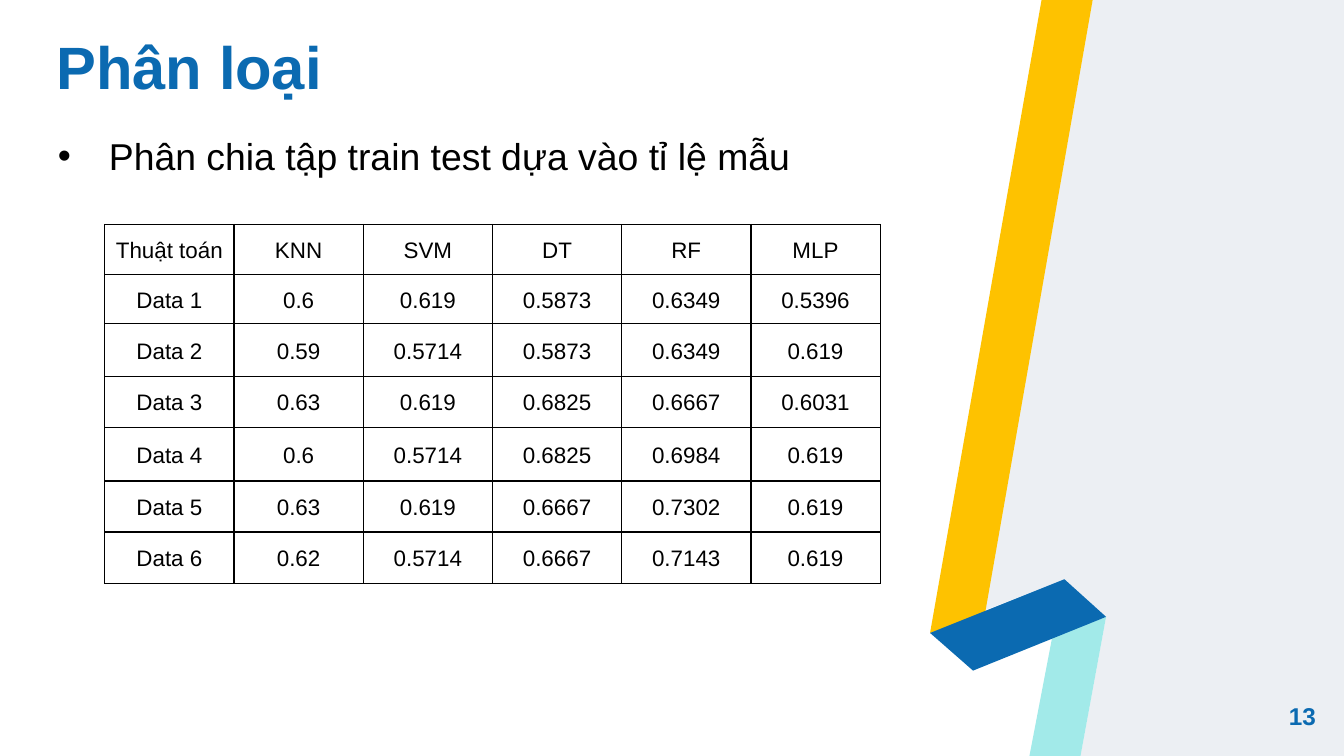
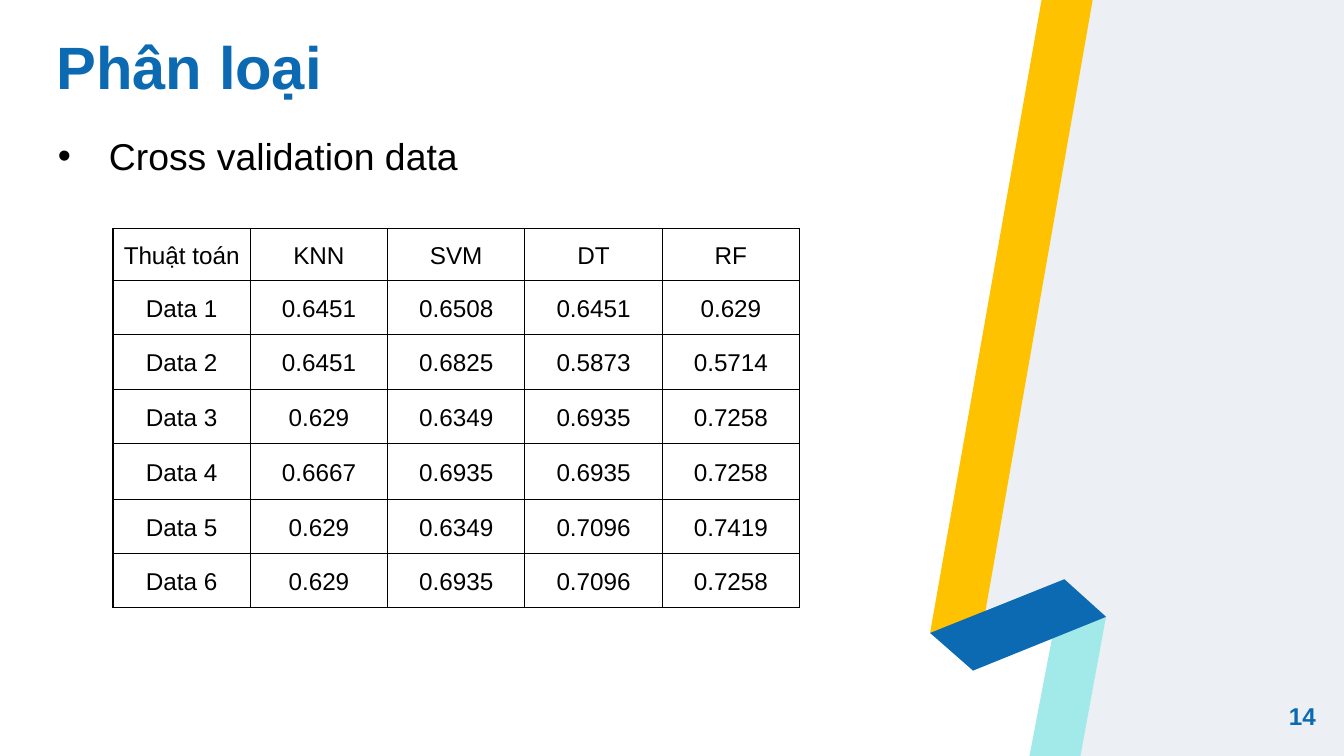
from dataclasses import dataclass

from lxml import etree
from pptx import Presentation
from pptx.dml.color import RGBColor
from pptx.enum import text
from pptx.oxml.ns import qn
from pptx.util import Inches, Pt


@dataclass(frozen=True)
class Theme:
    font: str = "Arial"
    blue: str = "0B6AB1"
    yellow: str = "FEC200"
    aqua: str = "A2EAE9"
    grey: str = "ECEFF3"
    black: str = "000000"
    title_size: int = 32
    body_size: int = 20
    number_size: int = 13
    border_width: float = 0.75


THEME = Theme()
WIDTH = 10
HEIGHT = WIDTH * 9 / 16

# Corners that neighbouring parts of the ribbon share
FOLD_LEFT, FOLD_TOP, FOLD_RIGHT = (6.92, 4.71), (7.92, 4.31), (8.23, 4.59)
BAND_TOP, TAIL_END = (8.13, 0), (8.04, HEIGHT)
RIBBON = [
    (THEME.grey, [BAND_TOP, (7.33, 4.54), FOLD_TOP, FOLD_RIGHT, TAIL_END,
                  (WIDTH, HEIGHT), (WIDTH, 0)]),
    (THEME.yellow, [(7.75, 0), BAND_TOP, (7.33, 4.56), FOLD_LEFT]),
    (THEME.aqua, [(7.66, HEIGHT), (7.83, 4.74), FOLD_RIGHT, TAIL_END]),
    (THEME.blue, [FOLD_LEFT, FOLD_TOP, FOLD_RIGHT, (7.24, 4.99)]),
]

SPLIT_SCORES = [
    ["Thuật toán", "KNN", "SVM", "DT", "RF", "MLP"],
    ["Data 1", "0.6", "0.619", "0.5873", "0.6349", "0.5396"],
    ["Data 2", "0.59", "0.5714", "0.5873", "0.6349", "0.619"],
    ["Data 3", "0.63", "0.619", "0.6825", "0.6667", "0.6031"],
    ["Data 4", "0.6", "0.5714", "0.6825", "0.6984", "0.619"],
    ["Data 5", "0.63", "0.619", "0.6667", "0.7302", "0.619"],
    ["Data 6", "0.62", "0.5714", "0.6667", "0.7143", "0.619"],
]
CROSS_VALIDATION_SCORES = [
    ["Thuật toán", "KNN", "SVM", "DT", "RF"],
    ["Data 1", "0.6451", "0.6508", "0.6451", "0.629"],
    ["Data 2", "0.6451", "0.6825", "0.5873", "0.5714"],
    ["Data 3", "0.629", "0.6349", "0.6935", "0.7258"],
    ["Data 4", "0.6667", "0.6935", "0.6935", "0.7258"],
    ["Data 5", "0.629", "0.6349", "0.7096", "0.7419"],
    ["Data 6", "0.629", "0.6935", "0.7096", "0.7258"],
]


def add_run(paragraph, words, size, color=THEME.black, bold=False):
    run = paragraph.add_run()
    run.text = words
    run.font.name = THEME.font
    run.font.size = Pt(size)
    run.font.bold = bold
    run.font.color.rgb = RGBColor.from_string(color)


def place(shape, left, top, width, height):
    shape.left, shape.top = Inches(left), Inches(top)
    shape.width, shape.height = Inches(width), Inches(height)


def prepare_frame(shape, anchor, margin=0):
    frame = shape.text_frame
    frame.word_wrap = True
    frame.auto_size = text.MSO_AUTO_SIZE.NONE
    frame.vertical_anchor = anchor
    frame.margin_left = frame.margin_right = Inches(margin)
    frame.margin_top = frame.margin_bottom = 0
    return frame


# Shared background: drawn once, then kept in the layout
def add_ribbon(slide):
    for index, (color, corners) in enumerate(RIBBON):
        points = [(Inches(x), Inches(y)) for x, y in corners]
        builder = slide.shapes.build_freeform(*points[0])
        builder.add_line_segments(points[1:], close=True)
        shape = builder.convert_to_shape()
        shape.shadow.inherit = False
        shape.fill.solid()
        shape.fill.fore_color.rgb = RGBColor.from_string(color)
        shape.line.fill.background()
        shape.element.nvSpPr.cNvPr.set("id", str(100 + index))
        slide.slide_layout.shapes.element.insert(2 + index, shape.element)


def add_title(slide, words):
    title = slide.shapes.title
    place(title, 0.42, 0.32, 6.49, 0.43)
    paragraph = prepare_frame(title, text.MSO_ANCHOR.BOTTOM).paragraphs[0]
    paragraph.alignment = text.PP_ALIGN.LEFT
    paragraph.line_spacing = 0.8
    add_run(paragraph, words, THEME.title_size, THEME.blue, bold=True)


def add_bullet(slide, words):
    body = slide.placeholders[1]
    place(body, 0.33, 0.53, 8.69, 4.58)
    frame = prepare_frame(body, text.MSO_ANCHOR.TOP, margin=0.1)
    frame.margin_top = Inches(0.46)
    paragraph = frame.paragraphs[0]
    paragraph.space_before = Pt(0)
    add_run(paragraph, words, THEME.body_size)
    properties = paragraph._p.get_or_add_pPr()
    properties.set("marL", str(Inches(0.38)))
    properties.set("indent", str(Inches(-0.38)))
    color = etree.SubElement(properties, qn("a:buClr"))
    etree.SubElement(color, qn("a:srgbClr"), val=THEME.black)
    etree.SubElement(properties, qn("a:buFont"), typeface=THEME.font)
    etree.SubElement(properties, qn("a:buChar"), char="•")


def add_slide_number(slide, number):
    box = slide.shapes.add_textbox(Inches(9.19), Inches(5.11), Inches(0.6), Inches(0.43))
    paragraph = prepare_frame(box, text.MSO_ANCHOR.MIDDLE).paragraphs[0]
    paragraph.alignment = text.PP_ALIGN.RIGHT
    add_run(paragraph, str(number), THEME.number_size, THEME.blue, bold=True)


def set_borders(cell):
    properties = cell._tc.get_or_add_tcPr()
    for index, side in enumerate(("a:lnL", "a:lnR", "a:lnT", "a:lnB")):
        line = etree.Element(qn(side), w=str(Pt(THEME.border_width)))
        fill = etree.SubElement(line, qn("a:solidFill"))
        etree.SubElement(fill, qn("a:srgbClr"), val=THEME.black)
        properties.insert(index, line)


def fill_cell(cell, words, size):
    cell.fill.background()
    set_borders(cell)
    cell.vertical_anchor = text.MSO_ANCHOR.MIDDLE
    cell.margin_left = cell.margin_right = Inches(0.07)
    cell.margin_top = cell.margin_bottom = 0
    paragraph = cell.text_frame.paragraphs[0]
    paragraph.alignment = text.PP_ALIGN.CENTER
    paragraph.line_spacing = 1.1
    add_run(paragraph, words, size)


def add_score_table(slide, scores, left, top, width, row_heights, size):
    columns = len(scores[0])
    table = slide.shapes.add_table(
        len(scores), columns, Inches(left), Inches(top),
        Inches(width), Inches(sum(row_heights))).table
    table.first_row = table.horz_banding = False
    for column in table.columns:
        column.width = Inches(width / columns)
    for row, height, values in zip(table.rows, row_heights, scores):
        row.height = Inches(height)
        for cell, value in zip(row.cells, values):
            fill_cell(cell, value, size)


def add_score_slide(presentation, number, bullet):
    slide = presentation.slides.add_slide(presentation.slide_layouts[1])
    add_title(slide, "Phân loại")
    add_bullet(slide, bullet)
    add_slide_number(slide, number)
    return slide


def main():
    presentation = Presentation()
    presentation.slide_width = Inches(WIDTH)
    presentation.slide_height = Inches(HEIGHT)

    # Train/test split
    slide = add_score_slide(presentation, 13, "Phân chia tập train test dựa vào tỉ lệ mẫu")
    add_ribbon(slide)
    add_score_table(slide, SPLIT_SCORES, 0.78, 1.67, 5.77,
                    [0.37, 0.37, 0.39, 0.38, 0.4, 0.38, 0.38], size=12)

    # Cross validation
    slide = add_score_slide(presentation, 14, "Cross validation data")
    add_score_table(slide, CROSS_VALIDATION_SCORES, 0.84, 1.7, 5.11,
                    [0.39, 0.4, 0.41, 0.4, 0.42, 0.4, 0.4], size=13)

    presentation.save("out.pptx")


if __name__ == "__main__":
    main()
